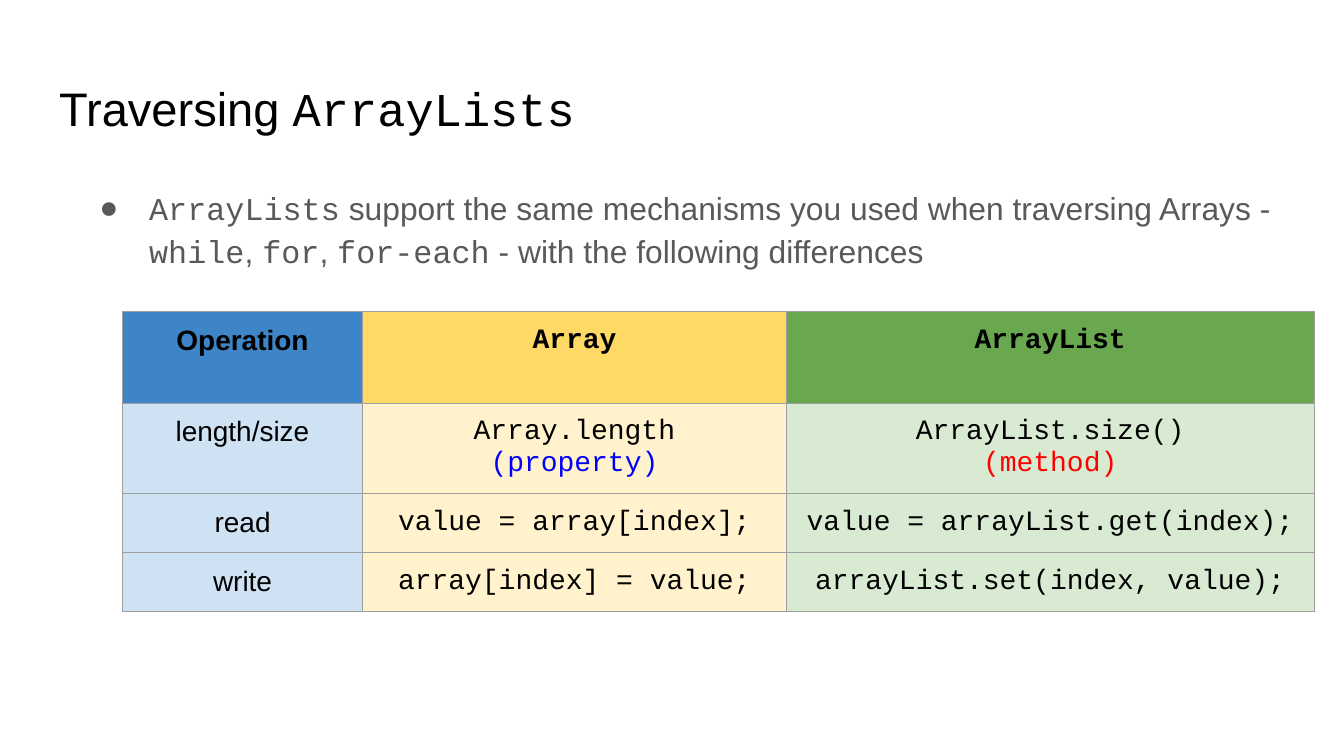
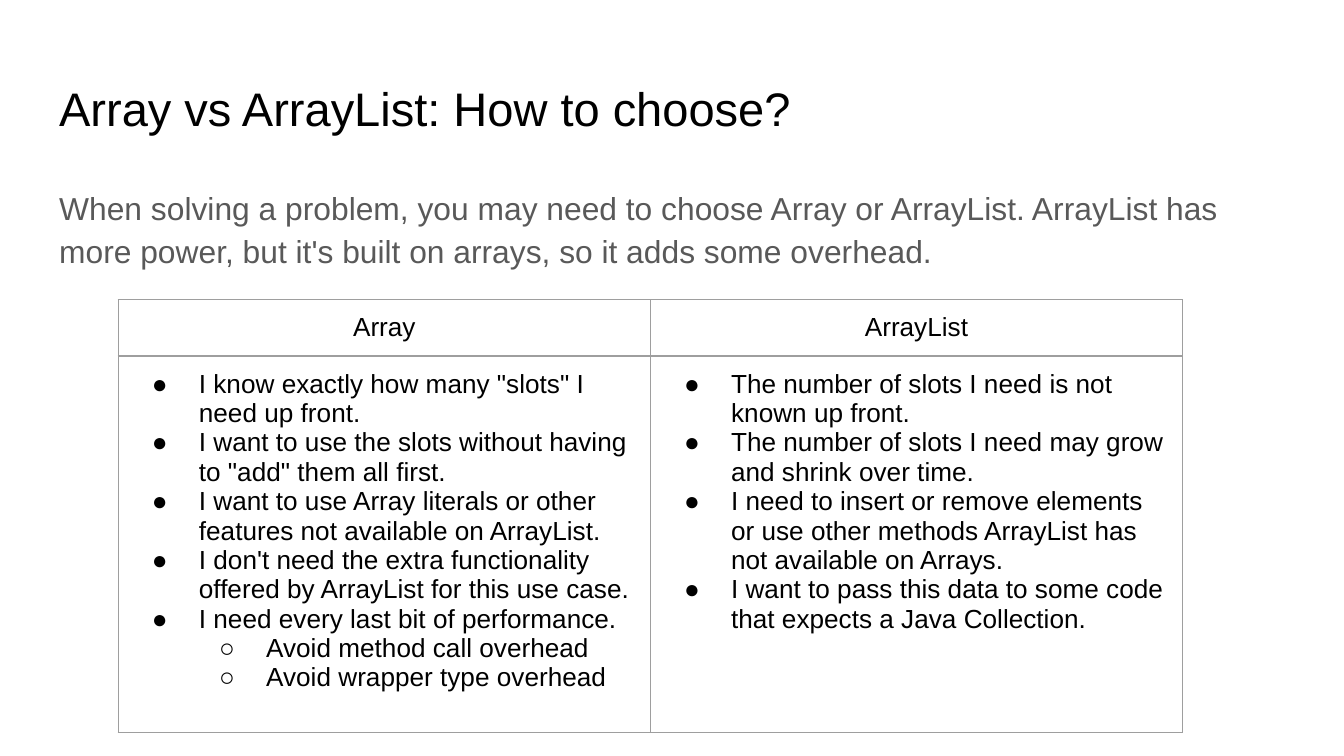
"""Build two slides that compare arrays with array lists; backticks mark code."""
from lxml import etree
from pptx import Presentation
from pptx.dml.color import RGBColor
from pptx.enum import text as t
from pptx.oxml import ns
from pptx.util import Inches, Pt

SANS, MONO = "Arial", "Courier New"
BLACK = RGBColor(0, 0, 0)
WHITE = RGBColor(255, 255, 255)
GRAY = RGBColor(0x59, 0x59, 0x59)
BLUE = RGBColor(0, 0, 255)
RED = RGBColor(255, 0, 0)
EDGE = RGBColor(0x9E, 0x9E, 0x9E)
HEADS = [RGBColor.from_string(c) for c in ("3D85C6", "FFD966", "6AA84F")]
TINTS = [RGBColor.from_string(c) for c in ("CFE2F3", "FFF2CC", "D9EAD3")]
BULLETS = "●○"
PAD = Inches(0.1)

LOOPS = {
    "title": "Traversing `ArrayLists`",
    "body": "`ArrayLists` support the same mechanisms you used when traversing Arrays - "
            "`while`, `for`, `for-each` - with the following differences",
    "box": (0.51, 1.26, 9.32, 0.97),
}
OPS = [
    ("Operation", "`Array`", "`ArrayList`"),
    ("length/size", "`Array.length`", "`ArrayList.size()`"),
    ("read", "`value = array[index];`", "`value = arrayList.get(index);`"),
    ("write", "`array[index] = value;`", "`arrayList.set(index, value);`"),
]
NOTES = {(1, 1): ("`(property)`", BLUE), (1, 2): ("`(method)`", RED)}

CHOICE = {
    "title": "Array vs ArrayList: How to choose?",
    "body": "When solving a problem, you may need to choose Array or ArrayList. "
            "ArrayList has more power, but it's built on arrays, so it adds some overhead.",
    "box": (0.34, 1.26, 9.32, 3.74),
}
REASONS = {
    "Array": [
        (0, "I know exactly how many \"slots\" I need up front."),
        (0, "I want to use the slots without having to \"add\" them all first."),
        (0, "I want to use Array literals or other features not available on ArrayList."),
        (0, "I don't need the extra functionality offered by ArrayList for this use case."),
        (0, "I need every last bit of performance."),
        (1, "Avoid method call overhead"),
        (1, "Avoid wrapper type overhead"),
    ],
    "ArrayList": [
        (0, "The number of slots I need is not known up front."),
        (0, "The number of slots I need may grow and shrink over time."),
        (0, "I need to insert or remove elements or use other methods ArrayList has "
            "not available on Arrays."),
        (0, "I want to pass this data to some code that expects a Java Collection."),
    ],
}


def sub(node, tag, **attrs):
    return etree.SubElement(node, ns.qn(tag), attrs)


def write(para, words, size, color=BLACK, bold=False):
    for i, part in enumerate(words.split("`")):
        if part:
            run = para.add_run()
            run.text = part
            run.font.name = MONO if i % 2 else SANS
            run.font.size = Pt(size)
            run.font.bold = bold
            run.font.color.rgb = color


def indent(para, left, hang, mark=None, color=BLACK):
    props = para._p.get_or_add_pPr()
    props.set("marL", str(Inches(left)))
    props.set("indent", str(Inches(-hang)))
    if mark:
        sub(sub(props, "a:buClr"), "a:srgbClr", val=str(color))
        sub(props, "a:buFont", typeface=SANS)
        sub(props, "a:buChar", char=mark)
    else:
        sub(props, "a:buNone")


def place(holder, box, anchor):
    holder.left, holder.top, holder.width, holder.height = map(Inches, box)
    frame = holder.text_frame
    frame.margin_left = frame.margin_right = frame.margin_top = frame.margin_bottom = PAD
    frame.word_wrap = True
    frame.auto_size = t.MSO_AUTO_SIZE.NONE
    frame.vertical_anchor = anchor
    para = frame.paragraphs[0]
    para.alignment = t.PP_ALIGN.LEFT
    para.space_before = Pt(0)
    return para


def start(deck, data):
    slide = deck.slides.add_slide(deck.slide_layouts[1])
    head = place(slide.shapes.title, (0.34, 0.49, 9.32, 0.63), t.MSO_ANCHOR.MIDDLE)
    write(head, data["title"], 25.2)
    para = place(slide.placeholders[1], data["box"], t.MSO_ANCHOR.TOP)
    para.line_spacing = 1.15
    write(para, data["body"], 17, GRAY)
    return slide, para


def grid(slide, left, top, cols, rows):
    frame = slide.shapes.add_table(len(rows), len(cols), Inches(left), Inches(top),
                                   Inches(sum(cols)), Inches(sum(rows)))
    table = frame.table
    table.first_row = table.horz_banding = False
    for col, width in zip(table.columns, cols):
        col.width = Inches(width)
    for row, height in zip(table.rows, rows):
        row.height = Inches(height)
    for cell in table.iter_cells():
        cell.margin_left = cell.margin_right = cell.margin_top = cell.margin_bottom = PAD
        props = cell._tc.get_or_add_tcPr()
        for side in "LRTB":
            line = sub(props, "a:ln" + side, w=str(Pt(0.75)))
            sub(sub(line, "a:solidFill"), "a:srgbClr", val=str(EDGE))
        paint(cell, WHITE)
    return table


def paint(cell, color):
    cell.fill.solid()
    cell.fill.fore_color.rgb = color


def center(cell):
    para = cell.text_frame.paragraphs[0]
    para.alignment = t.PP_ALIGN.CENTER
    return para


def loops(deck):
    slide, para = start(deck, LOOPS)
    indent(para, 0.5, 0.37, BULLETS[0], GRAY)
    table = grid(slide, 0.91, 2.32, (1.79, 3.15, 3.93), (0.68, 0.45, 0.27, 0.23))
    for r, row in enumerate(OPS):
        for c, words in enumerate(row):
            cell = table.cell(r, c)
            paint(cell, TINTS[c] if r else HEADS[c])
            para = center(cell)
            write(para, words, 15, bold=r == 0)
            if (r, c) in NOTES:
                note, color = NOTES[r, c]
                para.add_line_break()
                write(para, note, 15, color)


def choice(deck):
    slide, para = start(deck, CHOICE)
    indent(para, 0, 0)
    table = grid(slide, 0.88, 2.23, (3.96, 3.96), (0.41, 2.8))
    for c, (name, items) in enumerate(REASONS.items()):
        write(center(table.cell(0, c)), name, 14)
        frame = table.cell(1, c).text_frame
        for i, (level, words) in enumerate(items):
            para = frame.add_paragraph() if i else frame.paragraphs[0]
            para.level = level
            indent(para, 0.5 + 0.5 * level, 0.35, BULLETS[level])
            write(para, words, 14)


def main():
    deck = Presentation()
    deck.slide_width = Inches(10)
    deck.slide_height = deck.slide_width * 9 // 16
    loops(deck)
    choice(deck)
    deck.save("out.pptx")


if __name__ == "__main__":
    main()
